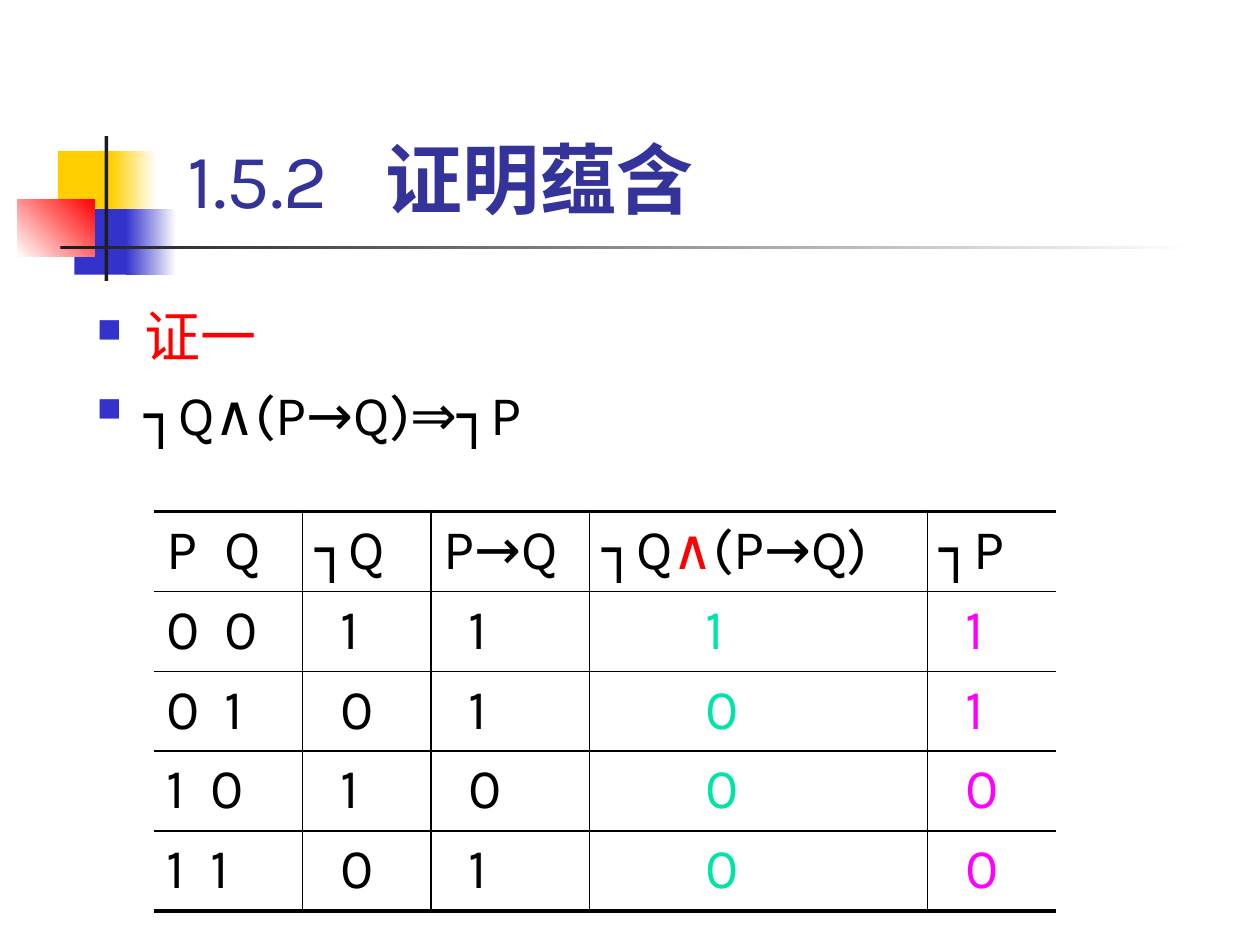
from lxml import etree
from pptx import Presentation
from pptx.dml.color import RGBColor
from pptx.enum.shapes import MSO_SHAPE
from pptx.enum.text import MSO_ANCHOR, PP_ALIGN
from pptx.oxml.ns import qn
from pptx.util import Inches, Pt

RECTANGLE = MSO_SHAPE.RECTANGLE
BOTTOM = MSO_ANCHOR.BOTTOM
LEFT = PP_ALIGN.LEFT

FONT = "Karla"
BLACK, WHITE, RED = "000000", "FFFFFF", "FF0000"
YELLOW, BLUE, CHARCOAL = "FFCF01", "3333CC", "1C1C1C"
NAVY, GREEN, MAGENTA = "333399", "00E4A8", "FF00FF"

DECORATIONS = [
    ((0.46, 1.2, 0.48, 0.52), [YELLOW], 0),
    ((0.88, 1.2, 0.36, 0.52), [YELLOW, WHITE], 0),
    ((0.59, 1.66, 0.46, 0.52), [BLUE], 0),
    ((1, 1.66, 0.4, 0.52), [BLUE, WHITE], 0),
    ((0.14, 1.58, 0.61, 0.46), [WHITE, RED], 45),
    ((0.83, 1.08, 0.03, 1.15), [CHARCOAL], 0),
    ((0.48, 1.95, 9, 0.03), [CHARCOAL, WHITE], 0),
]
COLUMN_WIDTHS = [1.18, 1.02, 1.26, 2.68, 1.02]
ROW_HEIGHTS = [0.63, 0.6, 0.6, 0.6, 0.6]
VALUE_MARGINS = [0.1, 0.3, 0.3, 0.92, 0.3]
VALUE_COLORS = [BLACK, BLACK, BLACK, GREEN, MAGENTA]
HEADERS = [["P\tQ"], ["┐Q"], ["P→Q"], ["┐Q", "∧", "(P→Q)"], ["┐P"]]
TRUTH_VALUES = [
    ["0\t0", "1", "1", "1", "1"],
    ["0\t1", "0", "1", "0", "1"],
    ["1\t0", "1", "0", "0", "0"],
    ["1\t1", "0", "1", "0", "0"],
]


def rgb(value):
    return RGBColor.from_string(value)


def place(shape, left, top, width, height):
    shape.left, shape.top = Inches(left), Inches(top)
    shape.width, shape.height = Inches(width), Inches(height)


def add_run(paragraph, text, size=32, color=BLACK, bold=False):
    run = paragraph.add_run()
    run.text = text
    run.font.name = FONT
    run.font.size = Pt(size)
    run.font.bold = bold
    run.font.color.rgb = rgb(color)


def add_tab_stop(paragraph, position):
    properties = paragraph._p.get_or_add_pPr()
    tabs = etree.SubElement(properties, qn("a:tabLst"))
    etree.SubElement(tabs, qn("a:tab"), pos=str(Inches(position)), algn="l")


def add_bullet(paragraph):
    properties = paragraph._p.get_or_add_pPr()
    properties.set("marL", str(Inches(0.38)))
    properties.set("indent", str(Inches(-0.38)))
    color = etree.SubElement(properties, qn("a:buClr"))
    etree.SubElement(color, qn("a:srgbClr"), val=BLUE)
    etree.SubElement(properties, qn("a:buSzPct"), val="60000")
    etree.SubElement(properties, qn("a:buChar"), char="■")


def add_decoration(slide, box, colors, angle):
    shape = slide.shapes.add_shape(RECTANGLE, *map(Inches, box))
    shape.shadow.inherit = False
    shape.line.fill.background()
    if len(colors) == 1:
        shape.fill.solid()
        shape.fill.fore_color.rgb = rgb(colors[0])
        return
    shape.fill.gradient()
    shape.fill.gradient_angle = angle
    for stop, color, position in zip(shape.fill.gradient_stops, colors, (0, 1)):
        stop.color.rgb = rgb(color)
        stop.position = position


def format_title(title):
    place(title, 1.26, 0.23, 8.52, 1.6)
    frame = title.text_frame
    frame.vertical_anchor = BOTTOM
    frame.margin_left = Inches(0.23)
    paragraph = frame.paragraphs[0]
    paragraph.alignment = LEFT
    add_tab_stop(paragraph, 1.57)
    add_run(paragraph, "1.5.2\t", size=44, color=NAVY)
    add_run(paragraph, "证明蕴含", size=44, color=NAVY, bold=True)


def add_statement(slide):
    box = slide.shapes.add_textbox(*map(Inches, (0.67, 2.21, 9.06, 1.6)))
    frame = box.text_frame
    frame.word_wrap = True
    heading, formula = frame.paragraphs[0], frame.add_paragraph()
    heading.line_spacing = 1.25
    formula.space_before = Pt(6.4)
    for paragraph, text, color in (
        (heading, "证一", RED),
        (formula, "┐Q∧(P→Q)⇒┐P", BLACK),
    ):
        add_bullet(paragraph)
        add_run(paragraph, text, color=color)


def add_border(cell, side, width):
    properties = cell._tc.get_or_add_tcPr()
    line = etree.SubElement(properties, qn(f"a:ln{side}"), w=str(Pt(width)))
    if width == 0:
        etree.SubElement(line, qn("a:noFill"))
        return
    fill = etree.SubElement(line, qn("a:solidFill"))
    etree.SubElement(fill, qn("a:srgbClr"), val=BLACK)


def format_cell(cell, row, column):
    last_row, last_column = len(ROW_HEIGHTS) - 1, len(COLUMN_WIDTHS) - 1
    add_border(cell, "L", 0 if column == 0 else 1)
    add_border(cell, "R", 0 if column == last_column else 1)
    add_border(cell, "T", 2.25 if row == 0 else 1)
    add_border(cell, "B", 2.25 if row == last_row else 1)
    cell.fill.background()
    cell.margin_left = Inches(VALUE_MARGINS[column] if row else 0.1)


def fill_cell(cell, parts, color):
    paragraph = cell.text_frame.paragraphs[0]
    if "\t" in parts[0]:
        add_tab_stop(paragraph, 0.35 if parts[0].startswith("1") else 0.46)
    for part in parts:
        add_run(paragraph, part, color=RED if part == "∧" else color)


def add_truth_table(slide):
    rows = [HEADERS] + [[[value] for value in row] for row in TRUTH_VALUES]
    table = slide.shapes.add_table(
        len(rows), len(COLUMN_WIDTHS), Inches(1.22), Inches(4.06),
        Inches(sum(COLUMN_WIDTHS)), Inches(sum(ROW_HEIGHTS)),
    ).table
    table.first_row = False
    table.horz_banding = False
    for column, width in zip(table.columns, COLUMN_WIDTHS):
        column.width = Inches(width)
    for row, height in zip(table.rows, ROW_HEIGHTS):
        row.height = Inches(height)
    for row_index, row in enumerate(rows):
        for column_index, parts in enumerate(row):
            cell = table.cell(row_index, column_index)
            format_cell(cell, row_index, column_index)
            color = VALUE_COLORS[column_index] if row_index else BLACK
            fill_cell(cell, parts, color)


def main():
    presentation = Presentation()
    presentation.slide_width = Inches(10)
    presentation.slide_height = Inches(7.5)
    slide = presentation.slides.add_slide(presentation.slide_layouts[5])
    for box, colors, angle in DECORATIONS:
        add_decoration(slide, box, colors, angle)
    format_title(slide.shapes.title)
    add_statement(slide)
    add_truth_table(slide)
    presentation.save("out.pptx")


if __name__ == "__main__":
    main()
